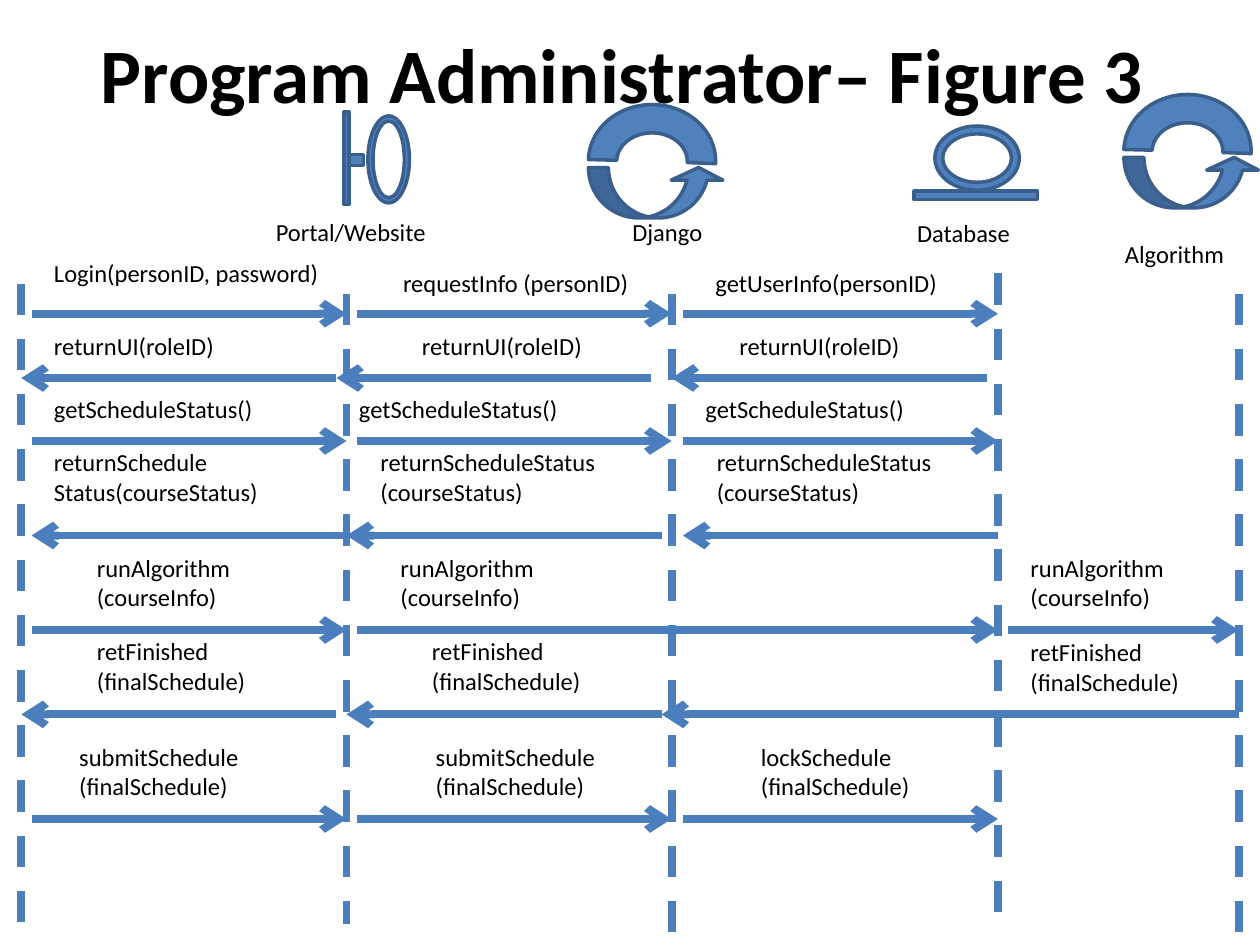
from pptx import Presentation
from pptx.dml.color import RGBColor
from pptx.enum.dml import MSO_LINE
from pptx.enum.shapes import MSO_CONNECTOR, MSO_SHAPE
from pptx.enum.text import MSO_AUTO_SIZE
from pptx.oxml.ns import qn
from pptx.util import Inches, Pt
from lxml import etree

BLACK = RGBColor(0x00, 0x00, 0x00)
BLUE = RGBColor(0x4F, 0x81, 0xBD)
EDGE = RGBColor(0x3A, 0x5F, 0x8C)
FLOW = RGBColor(0x4B, 0x7E, 0xBC)
FONT = "Calibri"
DASH = MSO_LINE.DASH
STRAIGHT = MSO_CONNECTOR.STRAIGHT
FIT = MSO_AUTO_SIZE.SHAPE_TO_FIT_TEXT
DONUT = MSO_SHAPE.DONUT
MINUS = MSO_SHAPE.MATH_MINUS
ARC = MSO_SHAPE.BLOCK_ARC
CURVE = MSO_SHAPE.CURVED_UP_ARROW

# Lifelines: x, top, bottom
LIVES = [(0.17, 2.25, 7.33), (2.75, 2.33, 7.33), (5.33, 2.33, 7.42),
         (7.92, 2.17, 7.42), (9.83, 2.33, 7.42)]

# Names under the icons: text, left, top, width
NAMES = [("Portal/Website", 2.09, 1.67, 1.41), ("Django", 4.92, 1.67, 0.76),
         ("Database", 7.18, 1.68, 0.95), ("Algorithm", 8.83, 1.85, 1.0)]

UI = "returnUI(roleID)"
STATUS = "getScheduleStatus()"
RETURN = "returnScheduleStatus\n(courseStatus)"
RUN = "runAlgorithm\n(courseInfo)"
DONE = "retFinished\n(finalSchedule)"
SUBMIT = "submitSchedule\n(finalSchedule)"

# Rows of messages: arrow y, then text, left, top, width, arrow start, arrow end
ROWS = [
    (2.49, [("Login(personID, password)", 0.33, 2.0, 2.42, 0.25, 2.75),
            ("requestInfo (personID)", 3.1, 2.08, 2.01, 2.83, 5.33),
            ("getUserInfo(personID)", 5.58, 2.08, 1.98, 5.42, 7.92)]),
    (3.0, [(UI, 0.33, 2.58, 1.48, 2.67, 0.17),
           (UI, 3.25, 2.58, 1.48, 5.17, 2.67),
           (UI, 5.77, 2.58, 1.48, 7.83, 5.33)]),
    (3.5, [(STATUS, 0.33, 3.08, 2.42, 0.25, 2.75),
           (STATUS, 2.75, 3.08, 2.42, 2.83, 5.33),
           (STATUS, 5.5, 3.08, 2.42, 5.42, 7.92)]),
    (4.25, [("returnSchedule\nStatus(courseStatus)", 0.33, 3.5, 2.33, 2.75, 0.25),
            (RETURN, 2.92, 3.5, 1.92, 5.25, 2.75),
            (RETURN, 5.59, 3.5, 1.92, 7.92, 5.42)]),
    (5.0, [(RUN, 0.67, 4.34, 1.27, 0.25, 2.75),
           (RUN, 3.08, 4.34, 1.27, 2.83, 7.92),
           (RUN, 8.08, 4.34, 1.27, 8.0, 9.83)]),
    (5.67, [(DONE, 0.67, 5.0, 1.39, 2.67, 0.17),
            (DONE, 3.33, 5.0, 1.39, 5.25, 2.75),
            (DONE, 8.08, 5.01, 1.39, 9.83, 5.25)]),
    (6.5, [(SUBMIT, 0.53, 5.84, 1.48, 0.25, 2.75),
           (SUBMIT, 3.36, 5.84, 1.48, 2.83, 5.33),
           ("lockSchedule\n(finalSchedule)", 5.94, 5.84, 1.39, 5.42, 7.92)]),
]


def write(slide, text, left, top, width, size=14, bold=False):
    lines = text.split("\n")
    high = size * 1.22 * len(lines) / 72 + 0.1
    box = slide.shapes.add_textbox(
        Inches(left), Inches(top), Inches(width), Inches(high))
    frame = box.text_frame
    frame.word_wrap = width > 2.1 and not bold
    frame.auto_size = FIT
    for i, line in enumerate(lines):
        para = frame.add_paragraph() if i else frame.paragraphs[0]
        run = para.add_run()
        run.text = line
        run.font.name = FONT
        run.font.size = Pt(size)
        run.font.bold = bold
        run.font.color.rgb = BLACK


def draw(slide, kind, left, top, width, height, adjust=(), turn=0):
    shape = slide.shapes.add_shape(
        kind, Inches(left), Inches(top), Inches(width), Inches(height))
    shape.shadow.inherit = False
    shape.fill.solid()
    shape.fill.fore_color.rgb = BLUE
    shape.line.color.rgb = EDGE
    shape.line.width = Pt(2)
    shape.rotation = turn
    for i, value in enumerate(adjust):
        shape.adjustments[i] = value


def link(slide, x1, y1, x2, y2, dashed=False):
    line = slide.shapes.add_connector(
        STRAIGHT, Inches(x1), Inches(y1), Inches(x2), Inches(y2))
    line.line.color.rgb = FLOW
    line.line.width = Pt(4.5)
    if dashed:
        line.line.dash_style = DASH
    else:
        tail = etree.SubElement(line.line._get_or_add_ln(), qn("a:tailEnd"))
        tail.set("type", "arrow")
    etree.SubElement(line._element.spPr, qn("a:effectLst"))


def portal(slide, left, top):
    # Boundary icon: ring, stem and upright bar
    draw(slide, DONUT, left + 0.67, top, 0.33, 0.69, [0.123])
    draw(slide, MINUS, left + 0.47, top + 0.16, 0.19, 0.38)
    draw(slide, MINUS, left, top + 0.25, 1, 0.17, turn=270)


def cycle(slide, left, top):
    # Control icon: arc above, curved arrow below
    draw(slide, ARC, left, top, 1.01, 0.9, [108.907, 1.328, 0.25])
    draw(slide, CURVE, left, top + 0.5, 1.08, 0.4, [0.397, 1.026, 0.25])


def store(slide, left, top):
    # Entity icon: ring on a bar
    draw(slide, DONUT, left + 0.34, top, 0.67, 0.51, [0.123])
    draw(slide, MINUS, left, top + 0.41, 1.33, 0.28)


def heads(slide):
    portal(slide, 2.25, 0.92)
    cycle(slide, 4.67, 0.83)
    store(slide, 7.08, 1.0)
    cycle(slide, 8.92, 0.75)
    for name in NAMES:
        write(slide, *name)


def flows(slide):
    for x, top, end in LIVES:
        link(slide, x, top, x, end, dashed=True)
    for y, cells in ROWS:
        for text, left, top, width, start, end in cells:
            link(slide, start, y, end, y)
            write(slide, text, left, top, width)


deck = Presentation()
deck.slide_width, deck.slide_height = Inches(10), Inches(7.5)
page = deck.slides.add_slide(deck.slide_layouts[6])
write(page, "Program Administrator– Figure 3", 0.7, 0.16, 8.55, 44, True)
heads(page)
flows(page)
deck.save("out.pptx")
